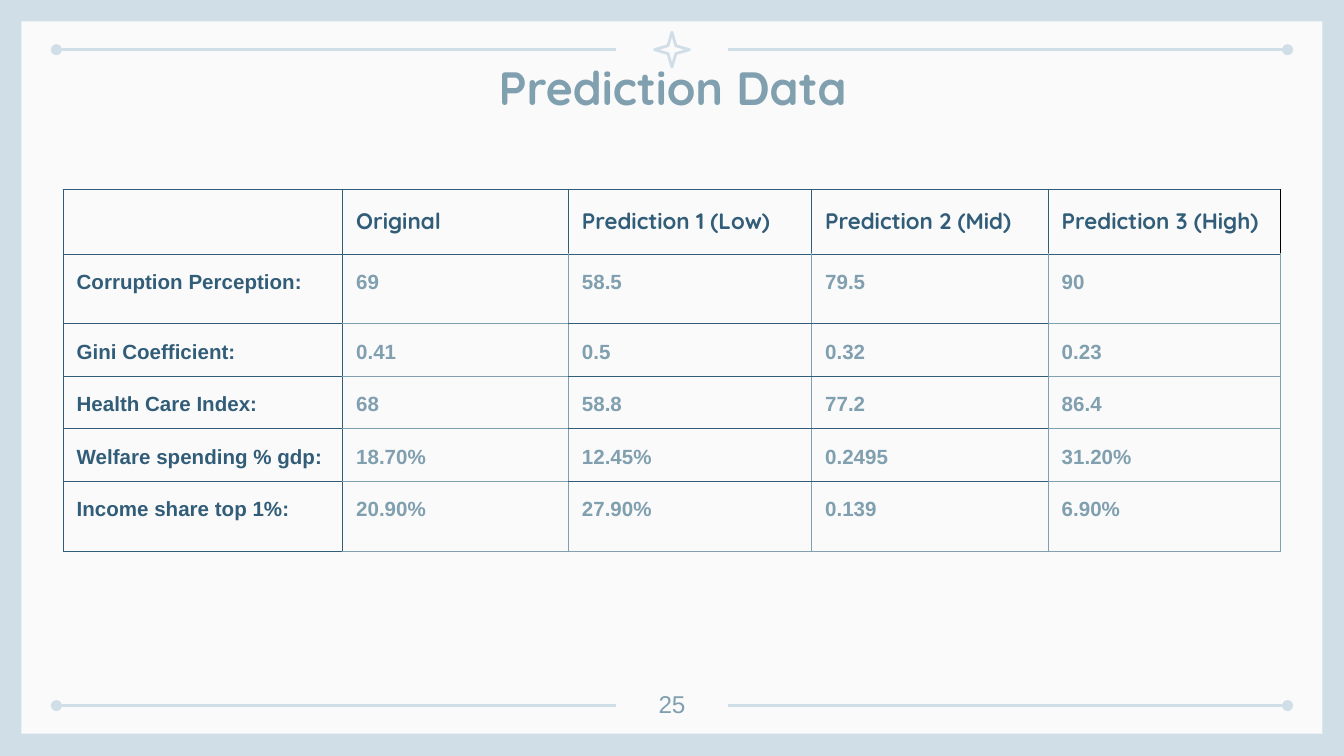
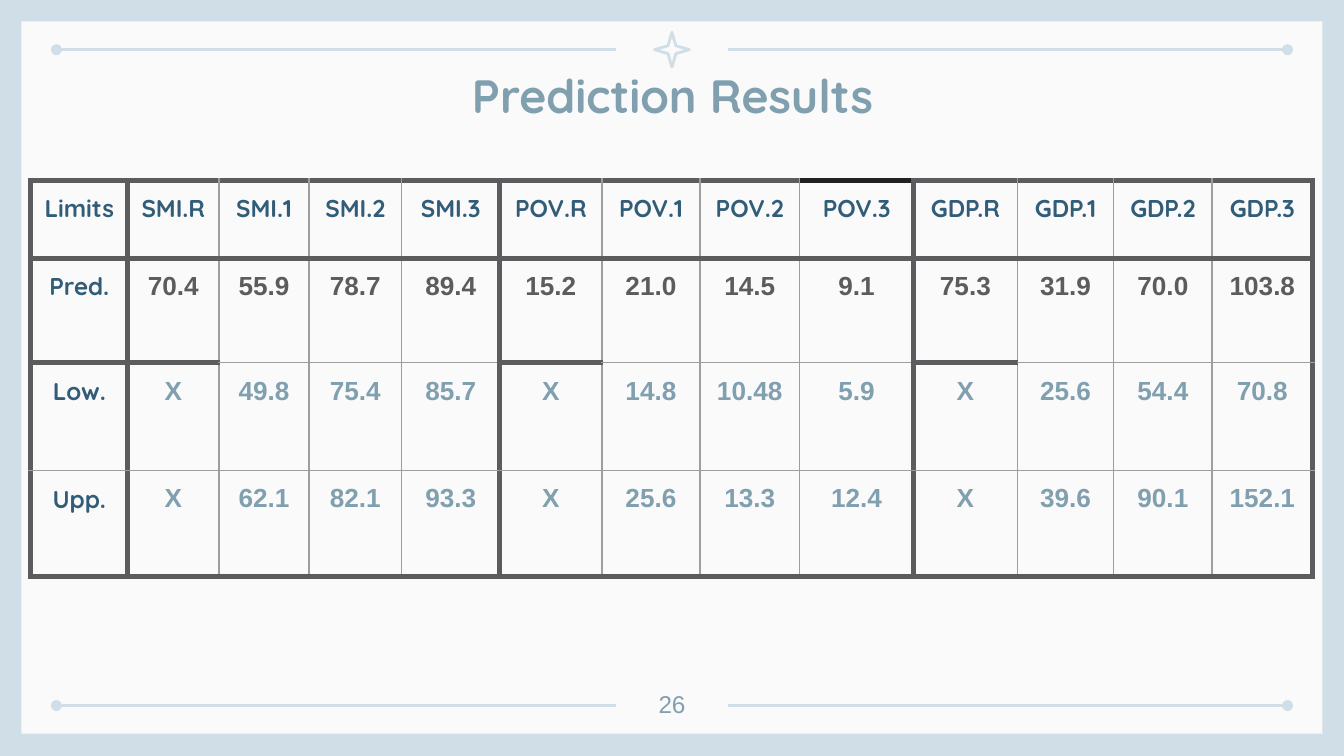
from dataclasses import dataclass

from lxml import etree
from pptx import Presentation
from pptx import util as u
from pptx.dml.color import RGBColor
from pptx.enum import shapes, text
from pptx.oxml import ns


@dataclass(frozen=True)
class Theme:
    pale: str = "CFDEE7"
    paper: str = "FAFAFA"
    navy: str = "325D79"
    steel: str = "809FAF"
    charcoal: str = "5C5C5F"
    grey: str = "9E9E9E"
    ink: str = "212121"
    black: str = "000000"
    heading: str = "Quicksand"
    body: str = "Arial"
    title_size: float = 25
    number_size: float = 13
    data_head_size: float = 12
    data_size: float = 11
    result_head_size: float = 13
    result_size: float = 14
    rule_width: float = 1.5
    data_border: float = 0.6
    thin_border: float = 0.75
    thick_border: float = 3


THEME = Theme()
CENTER = text.PP_ALIGN.CENTER


@dataclass(frozen=True)
class TextStyle:
    size: float
    font: str
    color: str
    bold: bool = True


def rgb(color):
    return RGBColor.from_string(color)


def add_xml(parent, tag, **attributes):
    return etree.SubElement(parent, ns.qn(tag), attributes)


def set_margins(holder, bottom=0.1):
    for side in ("left", "top", "right"):
        setattr(holder, f"margin_{side}", u.Inches(0.1))
    holder.margin_bottom = u.Inches(bottom)


def write(frame, words, style, align=None, spacing=None):
    para = frame.paragraphs[0]
    para.alignment = align
    para.line_spacing = spacing
    if words:
        span = para.add_run()
        span.text = words
        font = span.font
    else:
        font = para.font
    font.size = u.Pt(style.size)
    font.name = style.font
    font.bold = style.bold
    font.color.rgb = rgb(style.color)


def set_borders(cell, borders):
    """Give the cell its (color, points) borders, listed left, right, top, bottom."""
    properties = cell._tc.get_or_add_tcPr()
    for position, (side, (color, points)) in enumerate(zip("LRTB", borders)):
        line = etree.Element(ns.qn(f"a:ln{side}"), w=str(u.Pt(points)))
        fill = add_xml(line, "a:solidFill")
        add_xml(fill, "a:srgbClr", val=color)
        properties.insert(position, line)


class Builder:
    def __init__(self, theme):
        self.theme = theme
        self.deck = Presentation()
        self.deck.slide_width = u.Inches(10)
        self.deck.slide_height = u.Inches(10 * 9 / 16)
        self.layout = self.deck.slide_layouts[5]
        self.slide = None

    def start_slide(self, title, title_top, number):
        first = self.slide is None
        self.slide = self.deck.slides.add_slide(self.layout)
        if first:
            self.frame_layout()
        self.title(title, title_top)
        self.page_number(number)

    def frame_layout(self):
        """Draw the shared frame and move it to the layout."""
        theme = self.theme
        background = self.layout.background.fill
        background.solid()
        background.fore_color.rgb = rgb(theme.pale)
        for holder in list(self.layout.placeholders)[1:]:
            holder.element.getparent().remove(holder.element)

        parts = [self.shape(shapes.MSO_SHAPE.RECTANGLE, 0.16, 0.16, 9.68, 5.3,
                            fill=theme.paper)]
        star = self.shape(shapes.MSO_SHAPE.STAR_4_POINT, 4.87, 0.24, 0.26, 0.26,
                          line=theme.pale)
        star.adjustments[0] = 0.16
        parts.append(star)
        for y in (0.37, 5.25):
            parts.append(self.rule(0.42, 4.58, y, "a:headEnd"))
            parts.append(self.rule(5.42, 9.58, y, "a:tailEnd"))
        for part in parts:
            self.layout.shapes.element.append(part.element)

    def shape(self, kind, left, top, width, height, fill=None, line=None):
        shape = self.slide.shapes.add_shape(
            kind, u.Inches(left), u.Inches(top), u.Inches(width), u.Inches(height))
        shape.shadow.inherit = False
        if fill:
            shape.fill.solid()
            shape.fill.fore_color.rgb = rgb(fill)
        else:
            shape.fill.background()
        if line:
            shape.line.color.rgb = rgb(line)
            shape.line.width = u.Pt(self.theme.rule_width)
        else:
            shape.line.fill.background()
        return shape

    def rule(self, left, right, y, dot_end):
        """Draw a horizontal line with a round dot at one end."""
        rule = self.slide.shapes.add_connector(
            shapes.MSO_CONNECTOR.STRAIGHT,
            u.Inches(left), u.Inches(y), u.Inches(right), u.Inches(y))
        rule.line.color.rgb = rgb(self.theme.pale)
        rule.line.width = u.Pt(self.theme.rule_width)
        properties = rule.element.spPr
        add_xml(properties.find(ns.qn("a:ln")), dot_end, type="oval")
        add_xml(properties, "a:effectLst")
        return rule

    def title(self, words, top):
        theme = self.theme
        box = self.slide.shapes.title
        box.left, box.top = u.Inches(0.51), u.Inches(top)
        box.width, box.height = u.Inches(8.99), u.Inches(0.75)
        frame = box.text_frame
        frame.vertical_anchor = text.MSO_ANCHOR.MIDDLE
        frame.auto_size = text.MSO_AUTO_SIZE.NONE
        set_margins(frame)
        write(frame, words,
              TextStyle(theme.title_size, theme.heading, theme.steel), CENTER)

    def page_number(self, number):
        theme = self.theme
        box = self.slide.shapes.add_textbox(
            u.Inches(4.7), u.Inches(5.03), u.Inches(0.6), u.Inches(0.36))
        frame = box.text_frame
        frame.word_wrap = True
        set_margins(frame)
        write(frame, str(number),
              TextStyle(theme.number_size, theme.body, theme.steel, False), CENTER)

    def table(self, left, top, widths, heights, rows, style_of, upright, level,
              align=None, spacing=None, bottom=0.1):
        """Add a table.

        style_of(row, column) gives the text style; upright(edge, row) and
        level(edge, column) give the borders along the grid lines.
        """
        table = self.slide.shapes.add_table(
            len(heights), len(widths), u.Inches(left), u.Inches(top),
            u.Inches(sum(widths)), u.Inches(sum(heights))).table
        table.first_row = table.horz_banding = False
        for column, width in zip(table.columns, widths):
            column.width = u.Inches(width)
        for row, height in zip(table.rows, heights):
            row.height = u.Inches(height)
        for r, row in enumerate(rows):
            for c, words in enumerate(row):
                cell = table.cell(r, c)
                cell.fill.background()
                set_margins(cell, bottom)
                write(cell.text_frame, words, style_of(r, c), align, spacing)
                set_borders(cell, (upright(c, r), upright(c + 1, r),
                                   level(r, c), level(r + 1, c)))


def build_prediction_data(builder):
    theme = builder.theme
    rows = [
        ("", "Original", "Prediction 1 (Low)", "Prediction 2 (Mid)", "Prediction 3 (High)"),
        ("Corruption Perception:", "69", "58.5", "79.5", "90"),
        ("Gini Coefficient:", "0.41", "0.5", "0.32", "0.23"),
        ("Health Care Index:", "68", "58.8", "77.2", "86.4"),
        ("Welfare spending % gdp:", "18.70%", "12.45%", "0.2495", "31.20%"),
        ("Income share top 1%:", "20.90%", "27.90%", "0.139", "6.90%"),
    ]
    head = TextStyle(theme.data_head_size, theme.heading, theme.navy)
    label = TextStyle(theme.data_size, theme.body, theme.navy)
    value = TextStyle(theme.data_size, theme.body, theme.steel)
    dark, light, black = ((color, theme.data_border)
                          for color in (theme.navy, theme.steel, theme.black))

    def style_of(row, column):
        if row == 0:
            return head
        return value if column else label

    def upright(edge, row):
        if row == 0:
            return black if edge == 5 else dark
        return dark if edge <= 1 else light

    def level(edge, column):
        inner = column in (2, 3) and edge < len(rows)
        return dark if column == 0 or edge <= 1 or inner else light

    builder.start_slide("Prediction Data", 0.27, 25)
    builder.table(0.47, 1.41, [2.08, 1.68, 1.81, 1.76, 1.73],
                  [0.48, 0.52, 0.39, 0.39, 0.39, 0.52],
                  rows, style_of, upright, level, spacing=1.15, bottom=0.08)


def build_prediction_results(builder):
    theme = builder.theme
    measures = [f"{name}.{case}" for name in ("SMI", "POV", "GDP") for case in "R123"]
    rows = [
        ["Limits", *measures],
        ["Pred.", "70.4", "55.9", "78.7", "89.4", "15.2", "21.0", "14.5", "9.1",
         "75.3", "31.9", "70.0", "103.8"],
        ["Low.", "X", "49.8", "75.4", "85.7", "X", "14.8", "10.48", "5.9",
         "X", "25.6", "54.4", "70.8"],
        ["Upp.", "X", "62.1", "82.1", "93.3", "X", "25.6", "13.3", "12.4",
         "X", "39.6", "90.1", "152.1"],
    ]
    group_edges = (0, 1, 5, 9, 13)
    head = TextStyle(theme.result_head_size, theme.heading, theme.navy)
    predicted = TextStyle(theme.result_size, theme.body, theme.charcoal)
    limit = TextStyle(theme.result_size, theme.body, theme.steel)
    thick = (theme.charcoal, theme.thick_border)
    thin = (theme.grey, theme.thin_border)

    def style_of(row, column):
        if row == 0 or column == 0:
            return head
        return predicted if row == 1 else limit

    def upright(edge, row):
        return thick if edge in group_edges else thin

    def level(edge, column):
        if edge == 0 and column == 8:
            return theme.ink, theme.thick_border
        group_start = edge == 2 and column in group_edges
        return thick if edge in (0, 1, 4) or group_start else thin

    builder.start_slide("Prediction Results", 0.33, 26)
    builder.table(0.23, 1.34,
                  [0.72, 0.68, 0.67, 0.69, 0.73, 0.76, 0.73, 0.74, 0.85, 0.77,
                   0.72, 0.73, 0.75],
                  [0.58, 0.78, 0.8, 0.79],
                  rows, style_of, upright, level, align=CENTER)


def main():
    builder = Builder(THEME)
    build_prediction_data(builder)
    build_prediction_results(builder)
    builder.deck.save("out.pptx")


if __name__ == "__main__":
    main()
